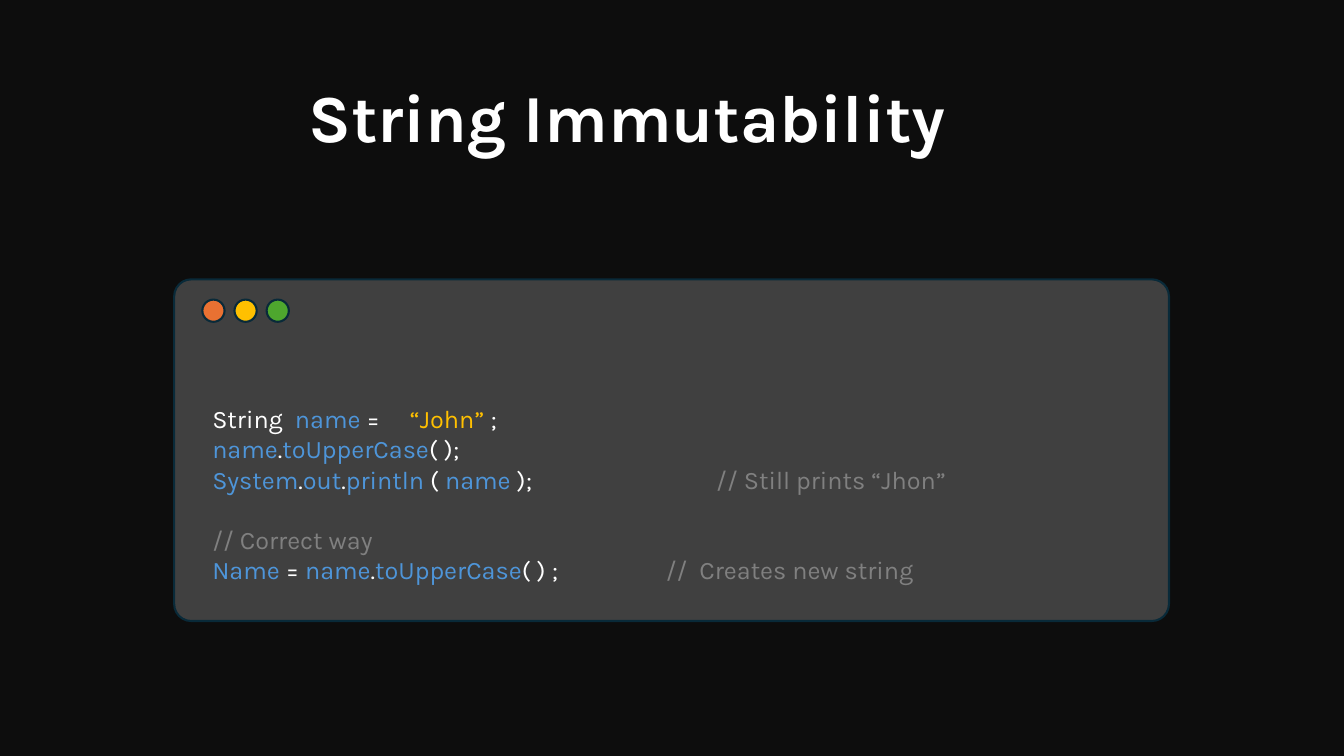
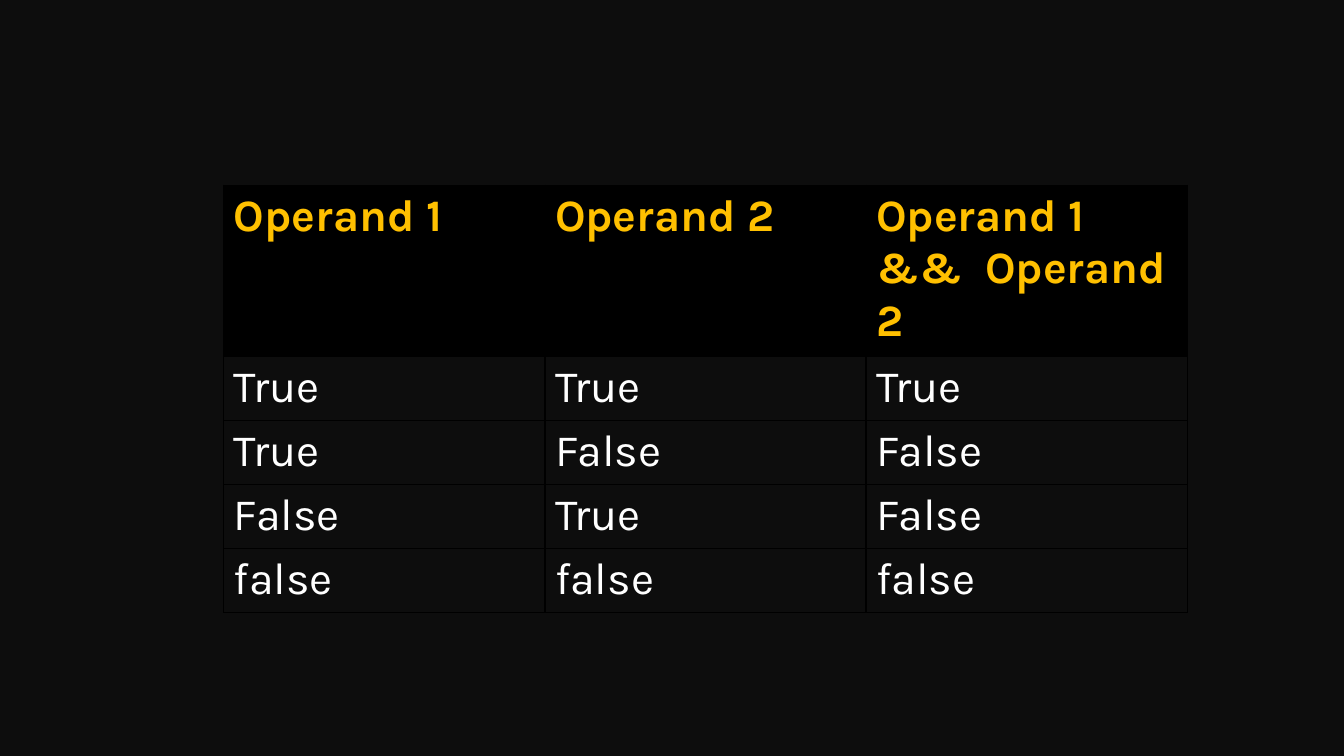
from pptx import Presentation
from pptx.dml.color import RGBColor
from pptx.enum.shapes import MSO_SHAPE
from pptx.oxml import parse_xml
from pptx.oxml.ns import nsdecls
from pptx.util import Cm, Pt

FONT = "Karla"
COLORS = {
    "back": "0D0D0D", "panel": "404040", "outline": "092A39",
    "plain": "FFFFFF", "ident": "4E95D9", "string": "FFC000", "comment": "808080",
    "close": "E97132", "minimize": "FFC000", "zoom": "4EA72E",
    "head": "FFC000", "grid": "000000",
}

# Each line: space before (pt), tab stop (cm) or None, coloured parts
CODE = [
    (0, 4.98, [("String  ", "plain"), ("name", "ident"), (" =\t", "plain"),
               ("“John”", "string"), (" ;", "plain")]),
    (0, None, [("name", "ident"), (".", "plain"), ("toUpperCase", "ident"),
               ("( );", "plain")]),
    (0, 12.7, [("System", "ident"), (".", "plain"), ("out", "ident"), (".", "plain"),
               ("println", "ident"), (" ( ", "plain"), ("name", "ident"),
               (" );\t", "plain"), ("// Still prints “Jhon”", "comment")]),
    (21.5, None, [("// Correct way", "comment")]),
    (0, 11.43, [("Name", "ident"), (" = ", "plain"), ("name", "ident"), (".", "plain"),
                ("toUpperCase", "ident"), ("( ) ;\t", "plain"),
                ("//  Creates new string", "comment")]),
]

TRUTH_TABLE = [
    ["Operand 1", "Operand 2", "Operand 1  &&  Operand 2"],
    ["True", "True", "True"],
    ["True", "False", "False"],
    ["False", "True", "False"],
    ["false", "false", "false"],
]


def rgb(name):
    return RGBColor.from_string(COLORS[name])


def style_run(r, size, color, bold=False):
    r.font.name = FONT
    r.font.size = Pt(size)
    r.font.bold = bold
    r.font.color.rgb = rgb(color)


def new_slide(prs):
    s = prs.slides.add_slide(prs.slide_layouts[6])
    s.background.fill.solid()
    s.background.fill.fore_color.rgb = rgb("back")
    return s


def add_text_box(s, x, y, w, h):
    tf = s.shapes.add_textbox(Cm(x), Cm(y), Cm(w), Cm(h)).text_frame
    tf.word_wrap = True
    return tf


def add_outlined(s, kind, x, y, w, h, color):
    sp = s.shapes.add_shape(kind, Cm(x), Cm(y), Cm(w), Cm(h))
    sp.shadow.inherit = False
    sp.fill.solid()
    sp.fill.fore_color.rgb = rgb(color)
    sp.line.color.rgb = rgb("outline")
    sp.line.width = Pt(1.5)
    return sp


def add_title(s, text, x, y, w, h):
    p = add_text_box(s, x, y, w, h).paragraphs[0]
    p.text = text
    style_run(p.runs[0], 48, "plain", bold=True)


def set_tab(p, pos):
    p._p.get_or_add_pPr().append(parse_xml(
        f'<a:tabLst {nsdecls("a")}><a:tab pos="{Cm(pos)}" algn="l"/></a:tabLst>'))


def add_code_window(s, lines, x, y, w, h):
    # Window frame
    frame = add_outlined(s, MSO_SHAPE.ROUNDED_RECTANGLE, x, y, w, h, "panel")
    frame.adjustments[0] = 0.05

    # Window buttons
    pad, size, pitch = 0.71, 0.56, 0.81
    for i, color in enumerate(["close", "minimize", "zoom"]):
        add_outlined(s, MSO_SHAPE.OVAL, x + pad + i * pitch, y + 0.51, size, size, color)

    # Code lines
    tf = add_text_box(s, x + pad, y + 3, w - 2.29, h - 3.73)
    for i, (before, tab, parts) in enumerate(lines):
        p = tf.paragraphs[0] if i == 0 else tf.add_paragraph()
        if before:
            p.space_before = Pt(before)
        if tab:
            set_tab(p, tab)
        for text, color in parts:
            r = p.add_run()
            r.text = text
            style_run(r, 18, color)


def set_borders(cell):
    tcPr = cell._tc.get_or_add_tcPr()
    for i, side in enumerate(["lnL", "lnR", "lnT", "lnB"]):
        tcPr.insert(i, parse_xml(
            f'<a:{side} {nsdecls("a")} w="{Pt(1)}"><a:solidFill>'
            f'<a:srgbClr val="{COLORS["grid"]}"/></a:solidFill></a:{side}>'))


def add_truth_table(s, rows, x, y, w, h):
    table = s.shapes.add_table(len(rows), len(rows[0]), Cm(x), Cm(y), Cm(w), Cm(h)).table
    table.first_row = table.horz_banding = False
    for col in table.columns:
        col.width = Cm(w / len(rows[0]))
    for i, texts in enumerate(rows):
        header = i == 0
        table.rows[i].height = Cm(3.45 if header else 1.52)
        for j, text in enumerate(texts):
            cell = table.cell(i, j)
            if header:
                cell.fill.solid()
                cell.fill.fore_color.rgb = rgb("grid")
            else:
                cell.fill.background()
            set_borders(cell)
            p = cell.text_frame.paragraphs[0]
            p.text = text
            style_run(p.runs[0], 32, "head" if header else "plain", bold=header)


def main():
    prs = Presentation()
    prs.slide_width, prs.slide_height = Cm(33.87), Cm(19.05)

    # Code example
    s = new_slide(prs)
    add_code_window(s, CODE, 4.39, 7.04, 25.07, 8.61)
    add_title(s, "String Immutability", 7.52, 1.78, 19.53, 2.31)

    # Truth table
    s = new_slide(prs)
    add_truth_table(s, TRUTH_TABLE, 5.64, 4.67, 24.28, 9.9)

    prs.save("out.pptx")


if __name__ == "__main__":
    main()
